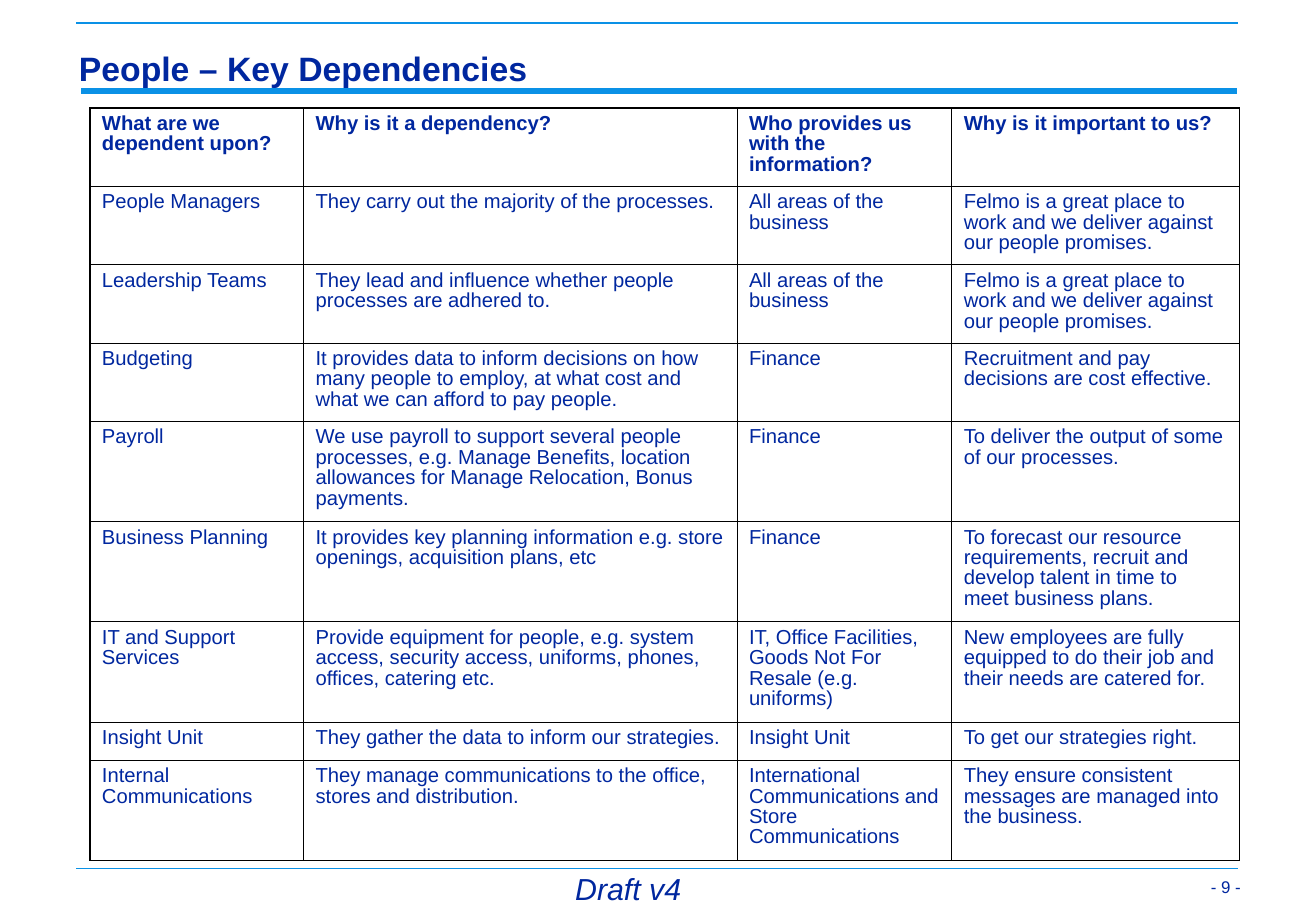
from dataclasses import dataclass
from typing import Any

from pptx import Presentation
from pptx.dml.color import RGBColor
from pptx.enum.shapes import MSO_CONNECTOR
from pptx.enum.text import MSO_ANCHOR as Anchor, PP_ALIGN as Align
from pptx.oxml.ns import qn
from pptx.util import Pt
from lxml.etree import SubElement, Element

EMU_PER_PX = 4572  # 200 px to the inch


@dataclass(frozen=True)
class Theme:
    font: str = "Arial"
    text: str = "00279F"
    accent: str = "0A91E6"
    border: str = "000000"
    title_size: int = 20
    draft_size: int = 18
    table_size: int = 12
    number_size: int = 10
    outer_border: float = 1.08
    inner_border: float = 0.45


@dataclass(frozen=True)
class Rule:
    left: int
    right: int
    y: int
    color: str
    weight: int


@dataclass(frozen=True)
class Label:
    text: str
    box: tuple[int, int, int, int]
    inset: tuple[int, int]
    size: int
    anchor: Anchor = Anchor.TOP
    align: Align = Align.LEFT
    spacing: float = 1.0
    bold: bool = False
    italic: bool = False


@dataclass(frozen=True)
class Dependency:
    name: str
    reason: str
    provider: str
    importance: str
    height: int

    def texts(self) -> tuple[str, str, str, str]:
        return self.name, self.reason, self.provider, self.importance


THEME = Theme()

RULES = [
    Rule(134, 2038, 150, THEME.accent, 4),
    Rule(126, 2040, 38, THEME.border, 1),
    Rule(126, 2040, 38, THEME.accent, 1),
    Rule(126, 2040, 1430, THEME.accent, 1),
]

LABELS = [
    Label("- 9 -", (1938, 1404, 120, 78), (14, 6), THEME.number_size,
          anchor=Anchor.BOTTOM, align=Align.RIGHT),
    Label("Draft v4", (798, 1430, 474, 70), (20, 10), THEME.draft_size,
          align=Align.CENTER, spacing=0.9, italic=True),
    Label("People – Key Dependencies", (116, 66, 1926, 88), (14, 6), THEME.title_size,
          anchor=Anchor.BOTTOM, spacing=0.97, bold=True),
]

TABLE_LEFT, TABLE_TOP = 148, 178
COLUMN_WIDTHS = [352, 714, 354, 474]
ONE_LINE, THREE_LINES, FOUR_LINES = 63, 129, 165
PROMISE = "Felmo is a great place to work and we deliver against our people promises."

DEPENDENCIES = [
    Dependency("What are we dependent upon?", "Why is it a dependency?",
               "Who provides us with the information?", "Why is it important to us?",
               THREE_LINES),
    Dependency("People Managers", "They carry out the majority of the processes.",
               "All areas of the business", PROMISE, THREE_LINES),
    Dependency("Leadership Teams",
               "They lead and influence whether people processes are adhered to.",
               "All areas of the business", PROMISE, THREE_LINES),
    Dependency("Budgeting",
               "It provides data to inform decisions on how many people to employ, "
               "at what cost and what we can afford to pay people.",
               "Finance", "Recruitment and pay decisions are cost effective.", THREE_LINES),
    Dependency("Payroll",
               "We use payroll to support several people processes, e.g. Manage Benefits, "
               "location allowances for Manage Relocation, Bonus payments.",
               "Finance", "To deliver the output of some of our processes.", FOUR_LINES),
    Dependency("Business Planning",
               "It provides key planning information e.g. store openings, "
               "acquisition plans, etc",
               "Finance",
               "To forecast our resource requirements, recruit and develop talent in time "
               "to meet business plans.", FOUR_LINES),
    Dependency("IT and Support Services",
               "Provide equipment for people, e.g. system access, security access, "
               "uniforms, phones, offices, catering etc.",
               "IT, Office Facilities, Goods Not For Resale (e.g. uniforms)",
               "New employees are fully equipped to do their job and their needs are "
               "catered for.", FOUR_LINES),
    Dependency("Insight Unit", "They gather the data to inform our strategies.",
               "Insight Unit", "To get our strategies right.", ONE_LINE),
    Dependency("Internal Communications",
               "They manage communications to the office, stores and distribution.",
               "International Communications and Store Communications",
               "They ensure consistent messages are managed into the business.", FOUR_LINES),
]


def px(length: int) -> int:
    return length * EMU_PER_PX


def write_text(frame: Any, text: str, *, size: int, align: Align = Align.LEFT,
               spacing: float = 1.0, bold: bool = False, italic: bool = False) -> None:
    frame.word_wrap = True
    paragraph = frame.paragraphs[0]
    paragraph.alignment = align
    paragraph.line_spacing = spacing
    run = paragraph.add_run()
    run.text = text
    font = run.font
    font.name, font.size, font.bold, font.italic = THEME.font, Pt(size), bold, italic
    font.color.rgb = RGBColor.from_string(THEME.text)


def draw_rule(slide: Any, rule: Rule) -> None:
    line = slide.shapes.add_connector(MSO_CONNECTOR.STRAIGHT, px(rule.left), px(rule.y),
                                      px(rule.right), px(rule.y))
    line.line.color.rgb = RGBColor.from_string(rule.color)
    line.line.width = Pt(rule.weight)
    SubElement(line._element.spPr, qn("a:effectLst"))


def draw_label(slide: Any, label: Label) -> None:
    frame = slide.shapes.add_textbox(*map(px, label.box)).text_frame
    frame.margin_left = frame.margin_right = px(label.inset[0])
    frame.margin_top = frame.margin_bottom = px(label.inset[1])
    frame.vertical_anchor = label.anchor
    write_text(frame, label.text, size=label.size, align=label.align,
               spacing=label.spacing, bold=label.bold, italic=label.italic)


def set_borders(cell: Any, outer_sides: dict[str, bool]) -> None:
    """Border each side, heavier where it lies on the table's edge."""
    properties = cell._tc.get_or_add_tcPr()
    for position, (side, is_outer) in enumerate(outer_sides.items()):
        weight = THEME.outer_border if is_outer else THEME.inner_border
        border = Element(qn(f"a:ln{side}"), w=str(int(Pt(weight))))
        fill = SubElement(border, qn("a:solidFill"))
        SubElement(fill, qn("a:srgbClr"), val=THEME.border)
        properties.insert(position, border)


def draw_table(slide: Any, dependencies: list[Dependency]) -> None:
    heights = [dependency.height for dependency in dependencies]
    last_row, last_column = len(heights) - 1, len(COLUMN_WIDTHS) - 1
    table = slide.shapes.add_table(len(heights), len(COLUMN_WIDTHS), px(TABLE_LEFT),
                                   px(TABLE_TOP), px(sum(COLUMN_WIDTHS)),
                                   px(sum(heights))).table
    table.first_row = table.horz_banding = False
    for column, width in zip(table.columns, COLUMN_WIDTHS):
        column.width = px(width)
    for r, dependency in enumerate(dependencies):
        table.rows[r].height = px(dependency.height)
        for c, text in enumerate(dependency.texts()):
            cell = table.cell(r, c)
            cell.fill.background()
            write_text(cell.text_frame, text, size=THEME.table_size, spacing=0.9,
                       bold=r == 0)
            set_borders(cell, {"L": c == 0, "R": c == last_column,
                               "T": r == 0, "B": r == last_row})


def main() -> None:
    presentation = Presentation()
    presentation.slide_width, presentation.slide_height = px(2168), px(1500)
    slide = presentation.slides.add_slide(presentation.slide_layouts[6])
    for rule in RULES:
        draw_rule(slide, rule)
    for label in LABELS:
        draw_label(slide, label)
    draw_table(slide, DEPENDENCIES)
    presentation.save("out.pptx")


if __name__ == "__main__":
    main()
